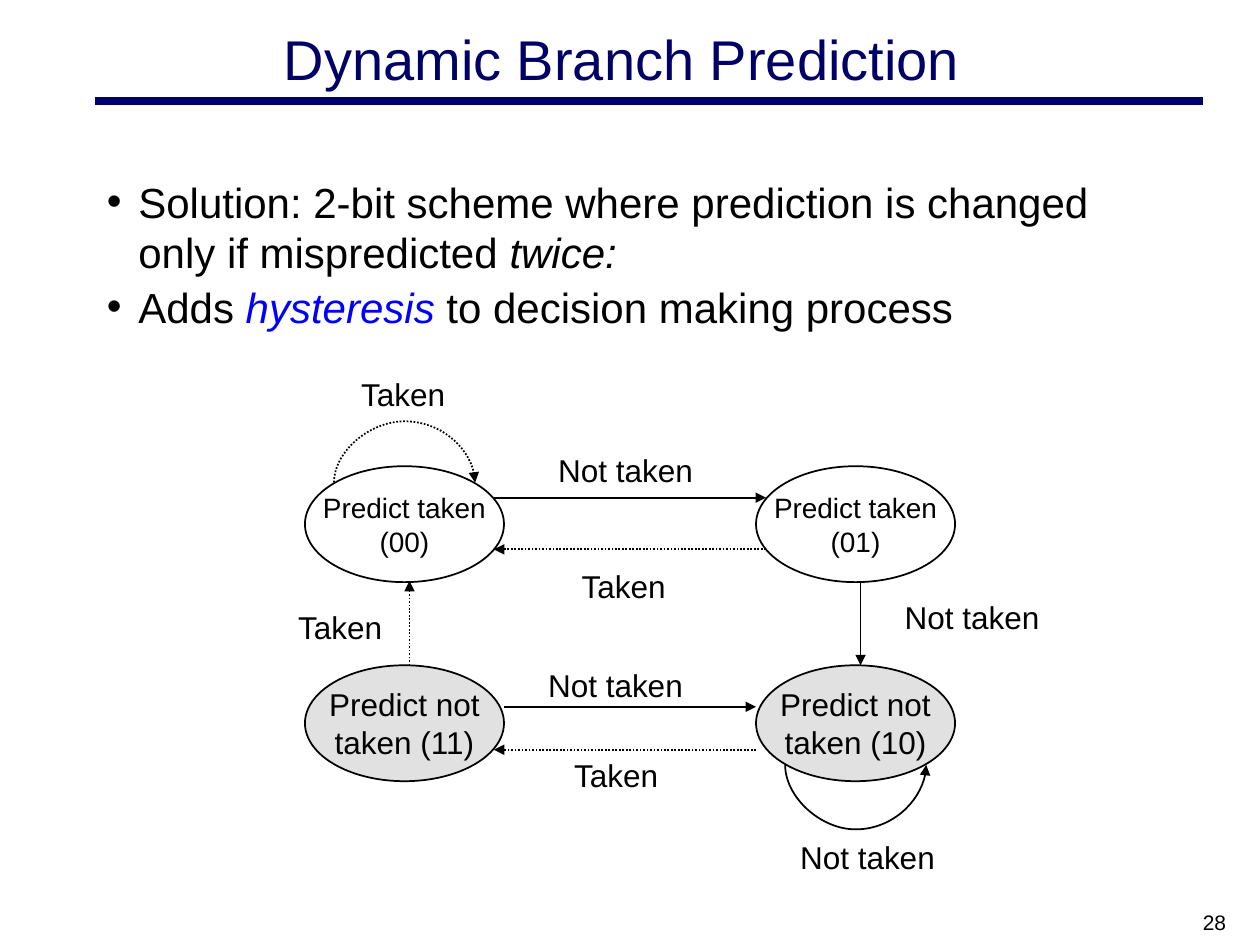
from pptx import Presentation
from pptx.util import Inches, Pt, Emu
from pptx.dml.color import RGBColor
from pptx.enum.dml import MSO_LINE
from pptx.enum.shapes import MSO_CONNECTOR, MSO_SHAPE
from pptx.enum.text import MSO_ANCHOR, PP_ALIGN
from lxml import etree

STRAIGHT, CURVE = MSO_CONNECTOR.STRAIGHT, MSO_CONNECTOR.CURVE
LEFT, CENTER, RIGHT = PP_ALIGN.LEFT, PP_ALIGN.CENTER, PP_ALIGN.RIGHT
TOP, MIDDLE = MSO_ANCHOR.TOP, MSO_ANCHOR.MIDDLE
SOLID, DOTTED = MSO_LINE.SOLID, MSO_LINE.ROUND_DOT
NAVY, BLACK, BLUE, WHITE, GRAY = "000066", "000000", "0000FF", "FFFFFF", "E1E1E1"
A = "{http://schemas.openxmlformats.org/drawingml/2006/main}"

rgb = RGBColor.from_string

prs = Presentation()
prs.slide_width, prs.slide_height = Inches(10), Inches(7.5)
s = prs.slides.add_slide(prs.slide_layouts[6])


def write(sp, paragraphs, size, align=CENTER, color=BLACK, anchor=TOP, wrap=True):
    """Fill a shape with paragraphs, each a list of (text, format) runs."""
    tf = sp.text_frame
    tf.word_wrap, tf.vertical_anchor = wrap, anchor
    for i, runs in enumerate(paragraphs):
        p = tf.paragraphs[0] if i == 0 else tf.add_paragraph()
        p.alignment = align
        for text, fmt in runs:
            r = p.add_run()
            r.text = text
            r.font.color.rgb = rgb(fmt.get("color", color))
            values = {"name": "Arial", "size": Pt(size), "italic": fmt.get("italic", False)}
            for key, value in values.items():
                setattr(r.font, key, value)
    return tf


def connect(kind, x1, y1, x2, y2, color=BLACK, width=1, dash=SOLID, arrow=True):
    """Draw a connector without shadow, with an optional arrowhead at its end."""
    sp = s.shapes.add_connector(kind, x1, y1, x2, y2)
    sp.line.color.rgb = rgb(color)
    sp.line.width = Pt(width)
    sp.line.dash_style = dash
    if arrow:
        etree.SubElement(sp.line._get_or_add_ln(), A + "tailEnd", type="triangle")
    etree.SubElement(sp._element.spPr, A + "effectLst")
    return sp


# Title and rule
connect(STRAIGHT, Inches(0.75), Inches(0.8), Inches(9.55), Inches(0.8), NAVY, 4.5, arrow=False)
sp = s.shapes.add_textbox(Inches(1.02), Inches(0.17), Inches(7.83), Inches(0.58))
write(sp, [[("Dynamic Branch Prediction", {})]], 32, color=NAVY, anchor=MIDDLE)

# Bullets
sp = s.shapes.add_textbox(Inches(0.75), Inches(1.35), Inches(8.66), Inches(1.53))
tf = write(sp, [
    [("Solution: 2-bit scheme where prediction is changed only if mispredicted ", {}),
     ("twice:", {"italic": True})],
    [("Adds ", {}), ("hysteresis", {"italic": True, "color": BLUE}),
     (" to decision making process", {})],
], 24, LEFT)
for p in tf.paragraphs:
    p.space_before = Pt(2.4)
    pPr = p._p.get_or_add_pPr()
    pPr.set("marL", str(Inches(0.25)))
    pPr.set("indent", str(Inches(-0.25)))
    etree.SubElement(pPr, A + "buFont", typeface="Arial")
    etree.SubElement(pPr, A + "buChar", char="•")

# Self loops: nearly flat curved connectors, bulging by a multiple of their width
LOOP_WIDTH, LOOP_SPAN = Emu(1588), Inches(1.12)
loops = [
    (6.79, 6.07, 270, "flipH", 326, SOLID),
    (3.21, 3.83, 90, "flipV", -308, DOTTED),
]
for cx, cy, angle, flip, bulge, dash in loops:
    x, y = Inches(cx), Inches(cy) - LOOP_SPAN // 2
    sp = connect(CURVE, x, y, x + LOOP_WIDTH, y + LOOP_SPAN, dash=dash)
    xfrm = sp._element.spPr.xfrm
    xfrm.set("rot", str(angle * 60000))
    xfrm.set(flip, "1")
    guides = sp._element.spPr.find(A + "prstGeom").find(A + "avLst")
    etree.SubElement(guides, A + "gd", name="adj1", fmla=f"val {bulge * 100000}")

# States
states = [
    (2.42, 3.7, ["Predict taken", "(00)"], 16, WHITE),
    (6, 3.7, ["Predict taken", "(01)"], 16, WHITE),
    (6, 5.28, ["Predict not", "taken (10)"], 18, GRAY),
    (2.42, 5.28, ["Predict not", "taken (11)"], 18, GRAY),
]
for x, y, lines, size, fill in states:
    sp = s.shapes.add_shape(MSO_SHAPE.OVAL, Inches(x), Inches(y), Inches(1.58), Inches(0.92))
    sp.shadow.inherit = False
    sp.fill.solid()
    sp.fill.fore_color.rgb = rgb(fill)
    sp.line.color.rgb = rgb(BLACK)
    sp.line.width = Pt(1)
    write(sp, [[(line, {})] for line in lines], size, anchor=MIDDLE, wrap=False)

# Transitions
transitions = [
    (4, 5.61, 6, 5.61, SOLID),
    (3.92, 3.95, 6.08, 3.95, SOLID),
    (6.83, 4.61, 6.83, 5.28, SOLID),
    (3.25, 5.28, 3.25, 4.61, DOTTED),
    (6, 5.95, 3.92, 5.95, DOTTED),
    (6.08, 4.36, 3.92, 4.36, DOTTED),
]
for *ends, dash in transitions:
    connect(STRAIGHT, *map(Inches, ends), dash=dash)

# Transition labels
labels = {
    ("Taken", 0.9): [(4.44, 5.95), (2.25, 4.78), (2.75, 2.93), (4.5, 4.45)],
    ("Not taken", 1.27): [(4.25, 5.24), (7.08, 4.7), (6.25, 6.6), (4.33, 3.53)],
}
for (text, width), places in labels.items():
    for x, y in places:
        sp = s.shapes.add_textbox(Inches(x), Inches(y), Inches(width), Inches(0.4))
        write(sp, [[(text, {})]], 18, wrap=False)

# Slide number
sp = s.shapes.add_textbox(Inches(7.5), Inches(7.17), Inches(2.33), Inches(0.25))
write(sp, [[("28", {})]], 12, RIGHT)

prs.save("out.pptx")
